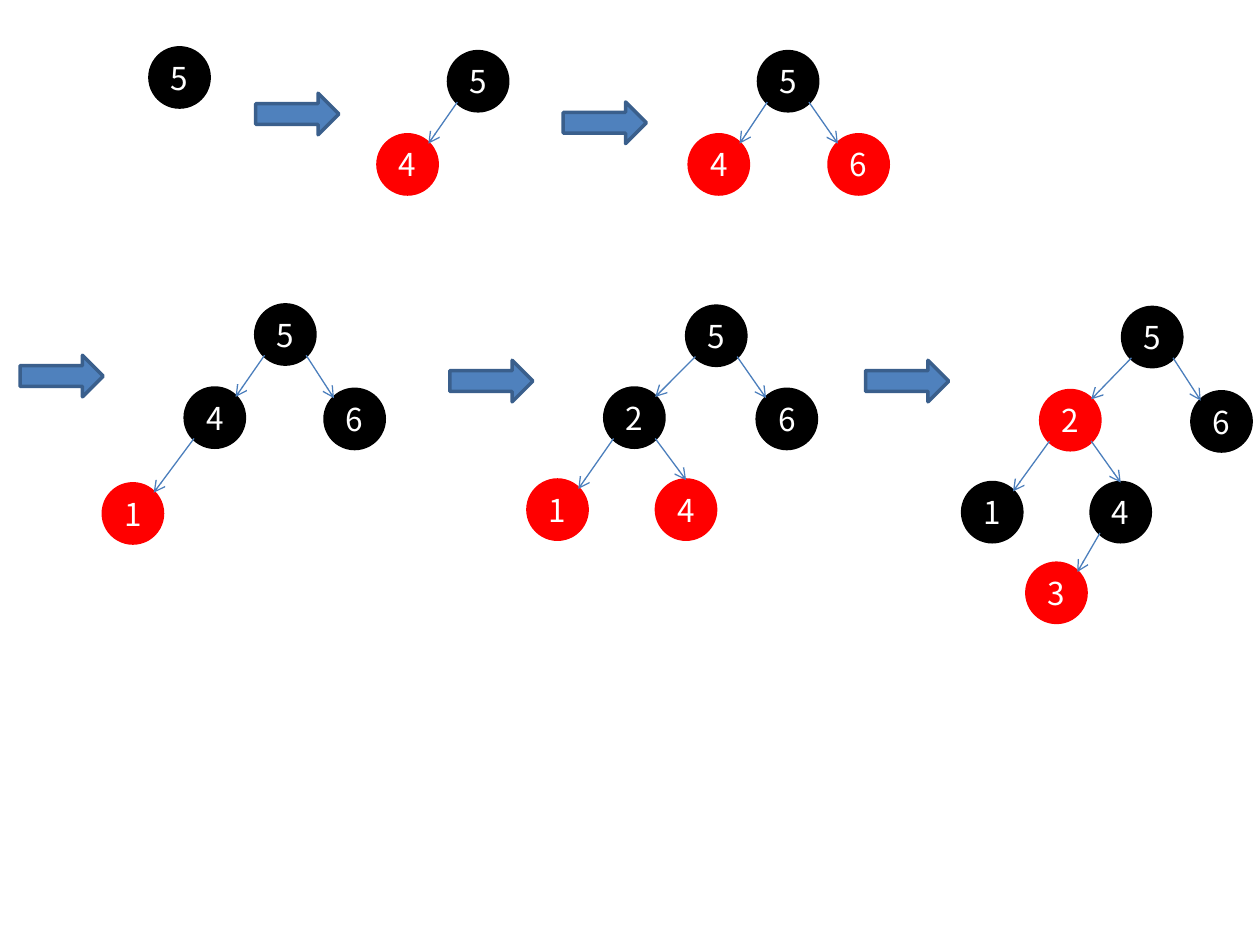
from lxml.etree import SubElement
from pptx import Presentation
from pptx.dml.color import RGBColor
from pptx.enum.shapes import MSO_CONNECTOR, MSO_SHAPE
from pptx.enum.text import MSO_ANCHOR, PP_ALIGN
from pptx.oxml.ns import qn
from pptx.util import Inches, Pt

BLACK = RGBColor(0, 0, 0)
RED = RGBColor(255, 0, 0)
WHITE = RGBColor(255, 255, 255)
BLUE = RGBColor(0x4F, 0x81, 0xBD)
NAVY = RGBColor(0x3A, 0x5F, 0x8C)
EDGE = RGBColor(0x4B, 0x7E, 0xBC)
FONT = "Noto Sans CJK KR"
SIZE = 0.47
NEAR, FAR = 0.07, 0.4

ROOT = ("5", BLACK, 0, 0, None)
TREES = [
    (1.19, 0.38, [ROOT]),
    (3.56, 0.41, [ROOT, ("4", RED, -0.56, 0.66, 0)]),
    (6.02, 0.41, [ROOT, ("4", RED, -0.55, 0.66, 0), ("6", RED, 0.56, 0.66, 0)]),
    (2.03, 2.42, [ROOT, ("4", BLACK, -0.56, 0.66, 0), ("6", BLACK, 0.55, 0.67, 0),
                  ("1", RED, -1.21, 1.42, 1)]),
    (5.45, 2.43, [ROOT, ("2", BLACK, -0.65, 0.65, 0), ("6", BLACK, 0.56, 0.66, 0),
                  ("1", RED, -1.26, 1.38, 1), ("4", RED, -0.24, 1.38, 1)]),
    (8.91, 2.44, [ROOT, ("2", RED, -0.65, 0.66, 0), ("6", BLACK, 0.55, 0.67, 0),
                  ("1", BLACK, -1.27, 1.39, 1), ("4", BLACK, -0.25, 1.39, 1),
                  ("3", RED, -0.76, 2.03, 4)]),
]
STEPS = [(2.03, 0.74), (4.47, 0.81), (0.16, 2.82), (3.57, 2.86), (6.87, 2.86)]


def add_form(slide, kind, x, y, wide, high, fill, edge):
    form = slide.shapes.add_shape(kind, Inches(x), Inches(y), Inches(wide), Inches(high))
    form.shadow.inherit = False
    form.fill.solid()
    form.fill.fore_color.rgb = fill
    form.line.color.rgb = edge
    form.line.width = Pt(2)
    return form


def add_node(slide, x, y, label, fill):
    frame = add_form(slide, MSO_SHAPE.OVAL, x, y, SIZE, SIZE, fill, fill).text_frame
    frame.margin_left = frame.margin_right = frame.margin_top = frame.margin_bottom = 0
    frame.vertical_anchor = MSO_ANCHOR.MIDDLE
    frame.text = label
    line = frame.paragraphs[0]
    line.alignment = PP_ALIGN.CENTER
    font = line.runs[0].font
    font.name, font.size = FONT, Pt(18)
    font.color.rgb = WHITE
    props = line.runs[0]._r.get_or_add_rPr()
    SubElement(props, qn("a:ea")).set("typeface", FONT)


def add_edge(slide, start, end):
    (x, y), (left, top) = start, end
    if left < x:
        begin, stop, drop = NEAR, FAR, NEAR
    elif left - x < 0.5:
        begin, stop, drop = FAR, SIZE / 2, 0
    else:
        begin, stop, drop = FAR, NEAR, NEAR
    link = slide.shapes.add_connector(
        MSO_CONNECTOR.STRAIGHT, Inches(x + begin), Inches(y + FAR),
        Inches(left + stop), Inches(top + drop))
    link.line.color.rgb = EDGE
    link.line.width = Pt(0.75)
    SubElement(link.line._get_or_add_ln(), qn("a:tailEnd")).set("type", "arrow")
    SubElement(link._element.spPr, qn("a:effectLst"))


def add_tree(slide, x, y, nodes):
    spots = [(x + dx, y + dy) for _, _, dx, dy, _ in nodes]
    for (label, fill, _, _, root), spot in zip(nodes, spots):
        add_node(slide, *spot, label, fill)
        if root is not None:
            add_edge(slide, spots[root], spot)


def add_step(slide, x, y):
    add_form(slide, MSO_SHAPE.RIGHT_ARROW, x, y, 0.66, 0.33, BLUE, NAVY)


def main():
    deck = Presentation()
    deck.slide_width, deck.slide_height = Inches(10), Inches(7.5)
    slide = deck.slides.add_slide(deck.slide_layouts[6])
    for tree in TREES:
        add_tree(slide, *tree)
    for step in STEPS:
        add_step(slide, *step)
    deck.save("out.pptx")


if __name__ == "__main__":
    main()
